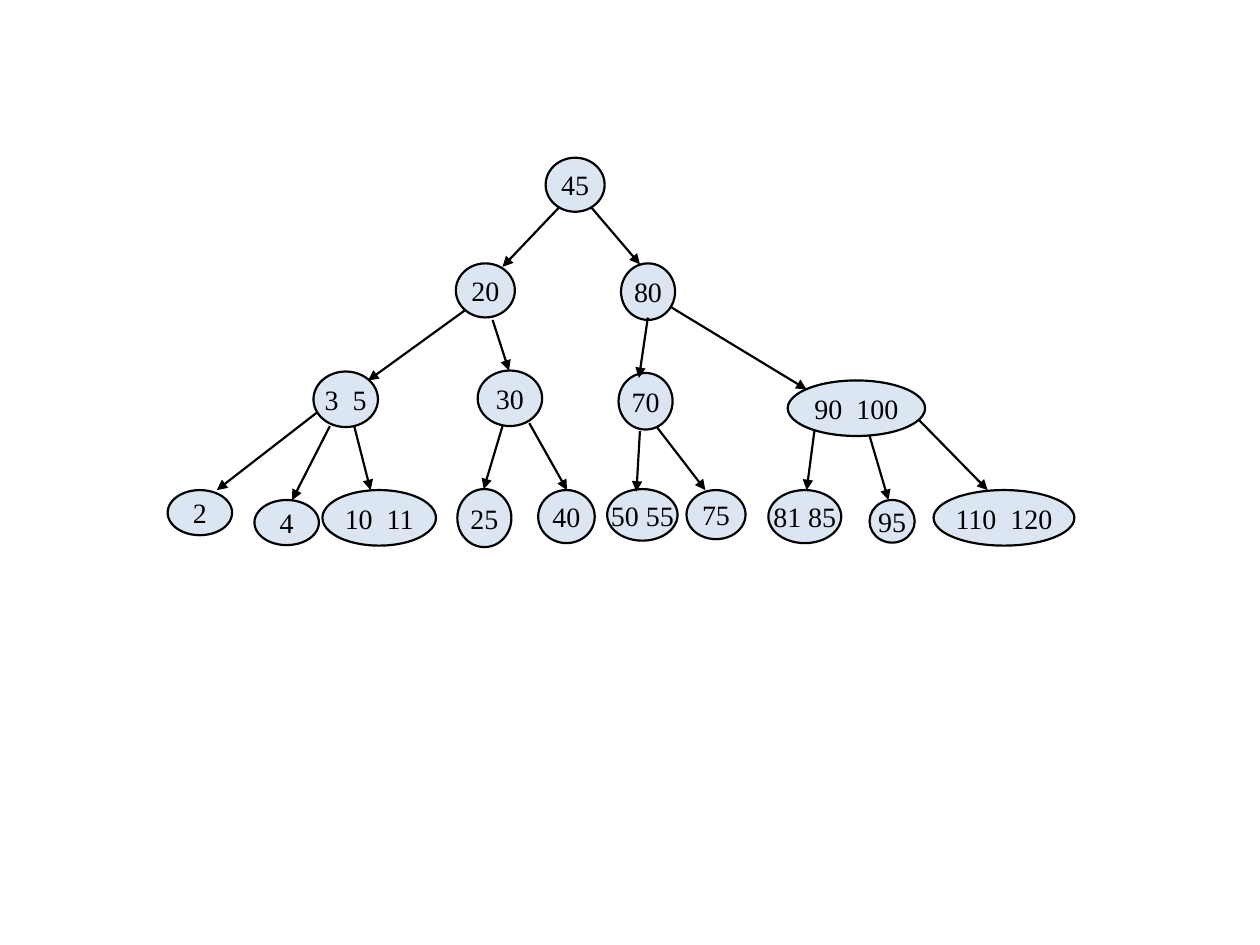
"""Draw a search tree whose nodes hold one or two keys."""
from dataclasses import dataclass

from pptx import Presentation
from pptx.dml.color import RGBColor as RGB
from pptx.enum.shapes import MSO_CONNECTOR as CONN, MSO_SHAPE as SHAPE
from pptx.enum.text import MSO_ANCHOR as ANCHOR, PP_ALIGN as ALIGN
from pptx.oxml.ns import qn
from pptx.util import Cm, Pt
from lxml.etree import SubElement


@dataclass(frozen=True)
class Theme:
    ink: RGB = RGB(0, 0, 0)
    node: RGB = RGB(0xDC, 0xE6, 0xF2)
    font: str = "Times New Roman"
    size: float = 16
    line: float = 1.25


THEME = Theme()

NODES = [
    ("45", 11.0, 3.18, 1.19, 1.09),
    ("20", 9.19, 5.31, 1.19, 1.09),
    ("80", 12.52, 5.31, 1.09, 1.14),
    ("3  5", 6.32, 7.49, 1.3, 1.12),
    ("30", 9.63, 7.47, 1.3, 1.12),
    ("70", 12.47, 7.52, 1.09, 1.14),
    ("90  100", 15.88, 7.67, 2.77, 1.12),
    ("2", 3.38, 9.88, 1.3, 0.91),
    ("4", 5.13, 10.08, 1.3, 0.91),
    ("10  11", 6.5, 9.88, 2.29, 1.12),
    ("25", 9.22, 9.86, 1.09, 1.17),
    ("40", 10.85, 9.88, 1.14, 1.07),
    ("50 55", 12.24, 9.86, 1.42, 1.04),
    ("75", 13.84, 9.88, 1.19, 0.99),
    ("81 85", 15.49, 9.88, 1.47, 1.07),
    ("95", 17.53, 10.08, 0.91, 0.86),
    ("110  120", 18.82, 9.88, 2.84, 1.12),
]

LINKS_BEHIND = [
    (9.45, 6.2, 7.42, 7.67),
    (9.93, 6.45, 10.26, 7.47),
    (13.54, 6.2, 16.26, 7.85),
    (6.5, 8.23, 4.37, 9.88),
    (6.65, 8.59, 5.89, 10.08),
    (7.14, 8.59, 7.47, 9.88),
    (10.13, 8.59, 9.75, 9.86),
    (10.67, 8.53, 11.43, 9.88),
    (13.18, 8.53, 14.22, 9.88),
    (16.43, 8.59, 16.26, 9.88),
    (17.53, 8.79, 17.91, 10.08),
    (18.47, 8.41, 19.91, 9.88),
]

LINKS_FRONT = [
    (11.28, 4.17, 10.13, 5.38),
    (11.91, 4.17, 12.9, 5.33),
    (13.06, 6.4, 12.88, 7.62),
    (12.9, 8.69, 12.83, 9.91),
]


def set_text(sp, text, size=THEME.size, font=THEME.font, color=THEME.ink,
             align=ALIGN.CENTER, anchor=ANCHOR.MIDDLE, wrap=False):
    tf = sp.text_frame
    tf.word_wrap = wrap
    tf.vertical_anchor = anchor
    p = tf.paragraphs[0]
    p.alignment = align
    r = p.add_run()
    r.text = text
    r.font.size = Pt(size)
    r.font.name = font
    r.font.color.rgb = color


def set_line(sp):
    sp.line.color.rgb = THEME.ink
    sp.line.width = Pt(THEME.line)


def add_node(s, keys, *box):
    sp = s.shapes.add_shape(SHAPE.OVAL, *map(Cm, box))
    sp.name = f"Node {keys}"
    sp.shadow.inherit = False
    sp.fill.solid()
    sp.fill.fore_color.rgb = THEME.node
    set_line(sp)
    set_text(sp, keys)


def add_arrow(s, *ends):
    sp = s.shapes.add_connector(CONN.STRAIGHT, *map(Cm, ends))
    set_line(sp)
    SubElement(sp.line._get_or_add_ln(), qn("a:tailEnd"), type="triangle")
    SubElement(sp._element.spPr, qn("a:effectLst"))


def main():
    prs = Presentation()
    prs.slide_width, prs.slide_height = Cm(25.4), Cm(19.05)
    s = prs.slides.add_slide(prs.slide_layouts[6])
    for link in LINKS_BEHIND:
        add_arrow(s, *link)
    for node in NODES:
        add_node(s, *node)
    for link in LINKS_FRONT:
        add_arrow(s, *link)
    prs.save("out.pptx")


main()
